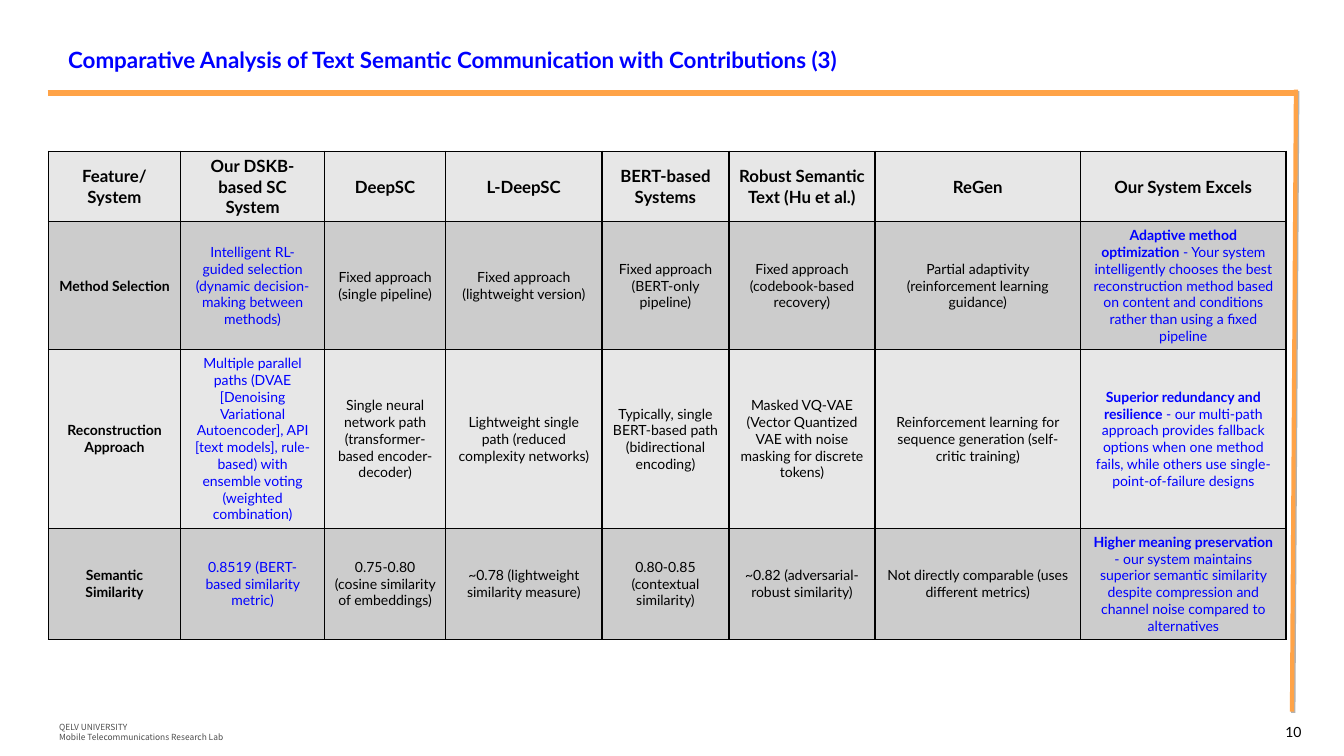
import lxml.etree
import pptx
import pptx.dml.color
import pptx.enum.shapes
import pptx.enum.text
import pptx.oxml
import pptx.oxml.ns
import pptx.util

Cm = pptx.util.Cm
Pt = pptx.util.Pt
ALIGN = pptx.enum.text.PP_ALIGN
ANCHOR = pptx.enum.text.MSO_ANCHOR
qn = pptx.oxml.ns.qn

COLORS = {
    "blue": "0000FF",
    "black": "000000",
    "gray": "4D4D4D",
    "orange": "FFA347",
    "shadow": "B2B2B2",
    "light": "E7E7E7",
    "dark": "CCCCCC",
}
COL_WIDTHS = [3.33, 3.63, 3.05, 3.94, 3.2, 3.68, 5.18, 5.18]
ROW_HEIGHTS = [1.75, 3.22, 4.5, 2.8]
HEADER = [
    "Feature/\nSystem",
    "Our DSKB-based SC System",
    "DeepSC",
    "L-DeepSC",
    "BERT-based Systems",
    "Robust Semantic Text (Hu et al.)",
    "ReGen",
    "Our System Excels",
]
BODY = [
    [
        "Method Selection",
        "Intelligent RL-guided selection (dynamic decision-making between methods)",
        "Fixed approach (single pipeline)",
        "Fixed approach (lightweight version)",
        "Fixed approach (BERT-only pipeline)",
        "Fixed approach (codebook-based recovery)",
        "Partial adaptivity (reinforcement learning guidance)",
        ("Adaptive method optimization",
         " - Your system intelligently chooses the best reconstruction method "
         "based on content and conditions rather than using a fixed pipeline"),
    ],
    [
        "Reconstruction Approach",
        "Multiple parallel paths (DVAE [Denoising Variational Autoencoder], API "
        "[text models], rule-based) with ensemble voting (weighted combination)",
        "Single neural network path (transformer-based encoder-decoder)",
        "Lightweight single path (reduced complexity networks)",
        "Typically, single BERT-based path (bidirectional encoding)",
        "Masked VQ-VAE (Vector Quantized VAE with noise masking for discrete tokens)",
        "Reinforcement learning for sequence generation (self-critic training)",
        ("Superior redundancy and resilience",
         " - our multi-path approach provides fallback options when one method "
         "fails, while others use single-point-of-failure designs"),
    ],
    [
        "Semantic Similarity",
        "0.8519 (BERT-based similarity metric)",
        "0.75-0.80 (cosine similarity of embeddings)",
        "~0.78 (lightweight similarity measure)",
        "0.80-0.85 (contextual similarity)",
        "~0.82 (adversarial-robust similarity)",
        "Not directly comparable (uses different metrics)",
        ("Higher meaning preservation",
         " - our system maintains superior semantic similarity despite "
         "compression and channel noise compared to alternatives"),
    ],
]


def rgb(name):
    """Return the named colour."""
    return pptx.dml.color.RGBColor.from_string(COLORS[name])


def style_run(r, size, color, bold=False, font="Lato"):
    """Set the font of one run."""
    r.font.name = font
    r.font.size = Pt(size)
    r.font.bold = bold
    r.font.color.rgb = rgb(color)
    ea = lxml.etree.SubElement(r.font._element, qn("a:ea"))
    ea.set("typeface", font)


def add_text(s, box, text, size, color, bold=False, font="Lato",
             align=ALIGN.LEFT, anchor=ANCHOR.TOP):
    """Add a text box with uniform formatting."""
    tf = s.shapes.add_textbox(*[Cm(v) for v in box]).text_frame
    tf.word_wrap = True
    tf.vertical_anchor = anchor
    tf.text = text
    for p in tf.paragraphs:
        p.alignment = align
        for r in p.runs:
            style_run(r, size, color, bold, font)


def add_frame(s):
    """Draw the rule under the title and the shadowed rule at the right."""
    fb = s.shapes.build_freeform(Cm(32.66), Cm(2.26))
    fb.add_line_segments([(Cm(32.56), Cm(17.93))], close=False)
    sp = fb.convert_to_shape()
    sp.fill.background()
    sp.line.color.rgb = rgb("orange")
    sp.line.width = Pt(3)
    sp.shadow.inherit = False
    effects = sp._element.spPr.find(qn("a:effectLst"))
    shadow = lxml.etree.SubElement(effects, qn("a:outerShdw"), dist="17780", dir="2700000")
    lxml.etree.SubElement(shadow, qn("a:srgbClr"), val=COLORS["shadow"])

    rule = s.shapes.add_connector(
        pptx.enum.shapes.MSO_CONNECTOR.STRAIGHT, Cm(1.2), Cm(2.34), Cm(32.66), Cm(2.34))
    rule.line.color.rgb = rgb("orange")
    rule.line.width = Pt(4.5)
    lxml.etree.SubElement(rule._element.spPr, qn("a:effectLst"))


def add_borders(cell):
    """Give a cell thin black borders on all sides."""
    tc_pr = cell._tc.get_or_add_tcPr()
    for i, side in enumerate(("lnL", "lnR", "lnT", "lnB")):
        ln = pptx.oxml.parse_xml(
            f'<a:{side} {pptx.oxml.ns.nsdecls("a")} w="12700"><a:solidFill>'
            f'<a:srgbClr val="{COLORS["black"]}"/></a:solidFill></a:{side}>')
        tc_pr.insert(i, ln)


def fill_cell(cell, content, fill, size, color, bold):
    """Write a cell, where a pair is a bold lead and a plain remainder."""
    cell.fill.solid()
    cell.fill.fore_color.rgb = rgb(fill)
    cell.vertical_anchor = ANCHOR.MIDDLE
    add_borders(cell)
    lead, rest = content if isinstance(content, tuple) else (content, "")
    cell.text_frame.text = lead
    for p in cell.text_frame.paragraphs:
        p.alignment = ALIGN.CENTER
        for r in p.runs:
            style_run(r, size, color, bold or bool(rest))
    if rest:
        r = cell.text_frame.paragraphs[0].add_run()
        r.text = rest
        style_run(r, size, color)


def add_comparison(s):
    """Add the comparison table with alternating row fills."""
    rows = [HEADER] + BODY
    table = s.shapes.add_table(
        len(rows), len(HEADER), Cm(1.22), Cm(3.81),
        Cm(sum(COL_WIDTHS)), Cm(sum(ROW_HEIGHTS))).table
    for col, width in zip(table.columns, COL_WIDTHS):
        col.width = Cm(width)
    for i, (row, height) in enumerate(zip(rows, ROW_HEIGHTS)):
        table.rows[i].height = Cm(height)
        for j, content in enumerate(row):
            ours = i > 0 and j in (1, len(HEADER) - 1)
            fill_cell(table.cell(i, j), content,
                      fill="dark" if i % 2 else "light",
                      size=10 if i else 12,
                      color="blue" if ours else "black",
                      bold=i == 0 or j == 0)


def main():
    """Build the slide and save it."""
    prs = pptx.Presentation()
    prs.slide_width, prs.slide_height = Cm(33.87), Cm(19.05)
    s = prs.slides.add_slide(prs.slide_layouts[6])
    add_frame(s)
    add_text(s, (1.24, 18.06, 11.53, 0.71),
             "QELV UNIVERSITY\nMobile Telecommunications Research Lab",
             6, "gray", font="Noto Sans CJK KR")
    add_text(s, (29.95, 18.11, 3.1, 0.74), "10", 10, "black", align=ALIGN.RIGHT)
    add_comparison(s)
    add_text(s, (1.47, 0.82, 28.8, 1.37),
             "Comparative Analysis of Text Semantic Communication with Contributions (3)",
             16, "blue", bold=True, anchor=ANCHOR.MIDDLE)
    prs.save("out.pptx")


if __name__ == "__main__":
    main()
